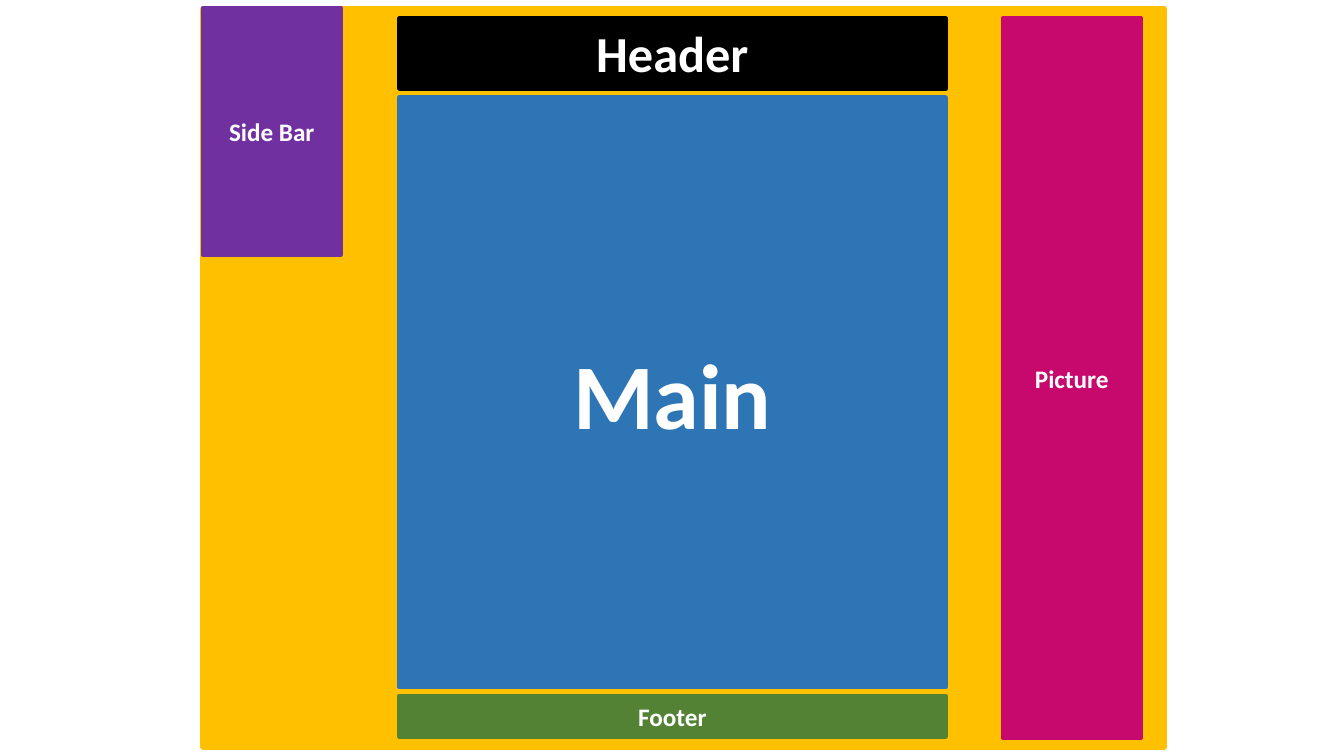
from pptx import Presentation
from pptx.dml.color import RGBColor
from pptx.enum.shapes import MSO_SHAPE
from pptx.enum.text import MSO_ANCHOR, PP_ALIGN
from pptx.util import Cm, Pt

COLORS = {
    "page": "FFC000",
    "header": "000000",
    "main": "2E75B6",
    "footer": "548235",
    "side bar": "7030A0",
    "picture": "C7096D",
    "text": "FFFFFF",
}


class LayoutSketch:
    font_name = "Calibri"

    def __init__(self, slide):
        self.slide = slide

    def block(self, color, left, top, width, height, border=3):
        """Add a rectangle, measured in centimetres, with fill and border alike."""
        shape = self.slide.shapes.add_shape(
            MSO_SHAPE.RECTANGLE, Cm(left), Cm(top), Cm(width), Cm(height))
        shape.shadow.inherit = False
        rgb = RGBColor.from_string(COLORS[color])
        shape.fill.solid()
        shape.fill.fore_color.rgb = rgb
        shape.line.color.rgb = rgb
        shape.line.width = Pt(border)
        return shape

    def label(self, shape, text, size=18, anchor=MSO_ANCHOR.MIDDLE, spacing=1.0):
        frame = shape.text_frame
        frame.text = text
        frame.word_wrap = True
        frame.vertical_anchor = anchor
        paragraph = frame.paragraphs[0]
        paragraph.alignment = PP_ALIGN.CENTER
        paragraph.line_spacing = spacing
        font = paragraph.runs[0].font
        font.name = self.font_name
        font.size = Pt(size)
        font.bold = True
        font.color.rgb = RGBColor.from_string(COLORS["text"])


def main():
    presentation = Presentation()
    presentation.slide_width = Cm(33.87)
    presentation.slide_height = Cm(19.05)
    slide = presentation.slides.add_slide(presentation.slide_layouts[6])
    sketch = LayoutSketch(slide)

    top, gap = 0.46, 0.22
    column_left, column_width = 10.06, 13.77
    header_height, main_height, footer_height = 1.78, 14.86, 1.02
    main_top = top + header_height + gap
    footer_top = main_top + main_height + gap
    side_width = 3.48

    sketch.block("page", 5.13, 0.23, 24.21, 18.59, border=4.5)
    header = sketch.block("header", column_left, top, column_width, header_height)
    sketch.label(header, "Header", 36, MSO_ANCHOR.BOTTOM, 0.9)
    main_area = sketch.block("main", column_left, main_top, column_width, main_height)
    sketch.label(main_area, "Main", 66)
    footer = sketch.block("footer", column_left, footer_top, column_width, footer_height)
    sketch.label(footer, "Footer", anchor=MSO_ANCHOR.TOP)
    side_bar = sketch.block("side bar", 5.11, 0.2, side_width, 6.22)
    sketch.label(side_bar, "Side Bar")
    picture = sketch.block("picture", 25.27, top, side_width, 18.14)
    sketch.label(picture, "Picture")

    presentation.save("out.pptx")


if __name__ == "__main__":
    main()
